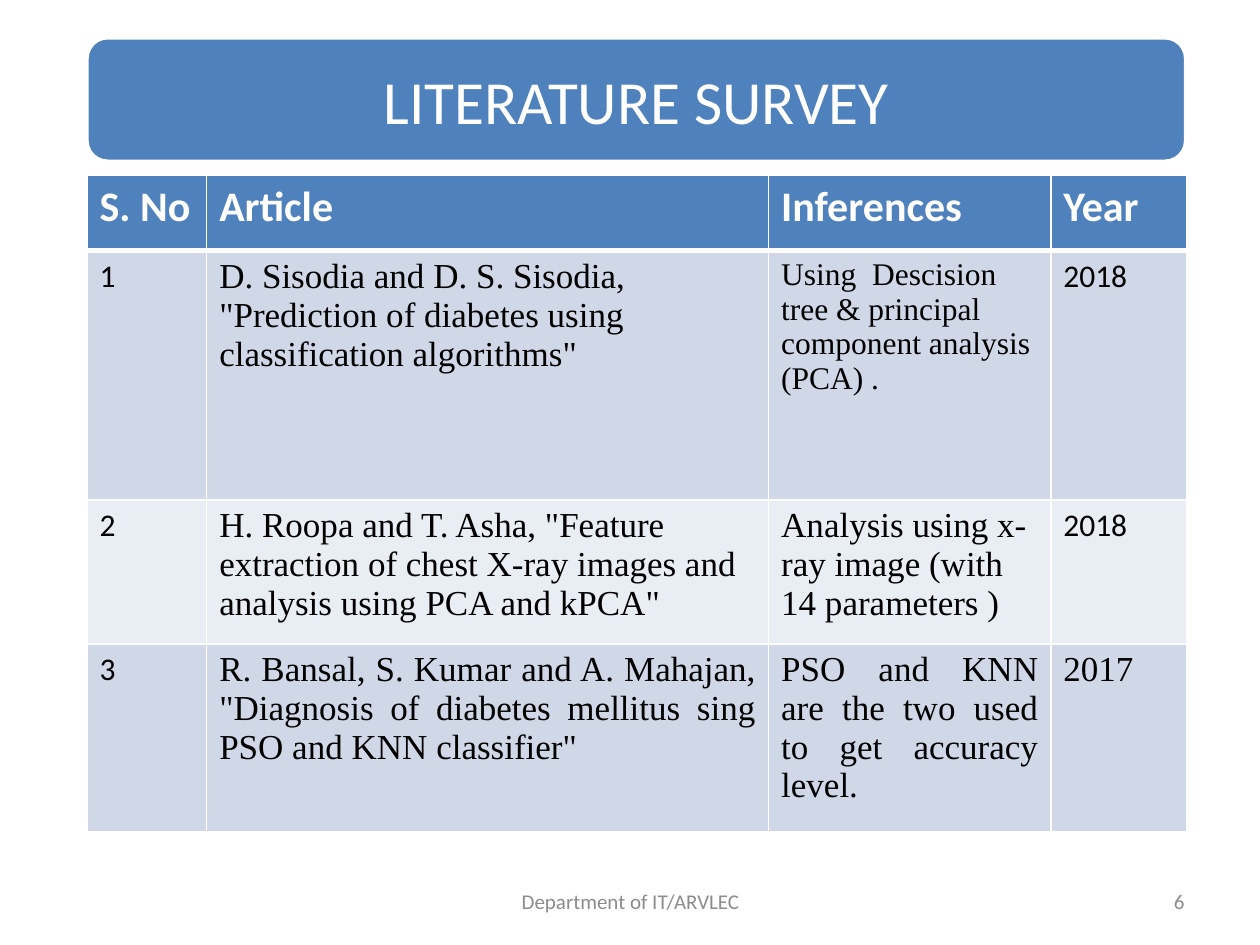
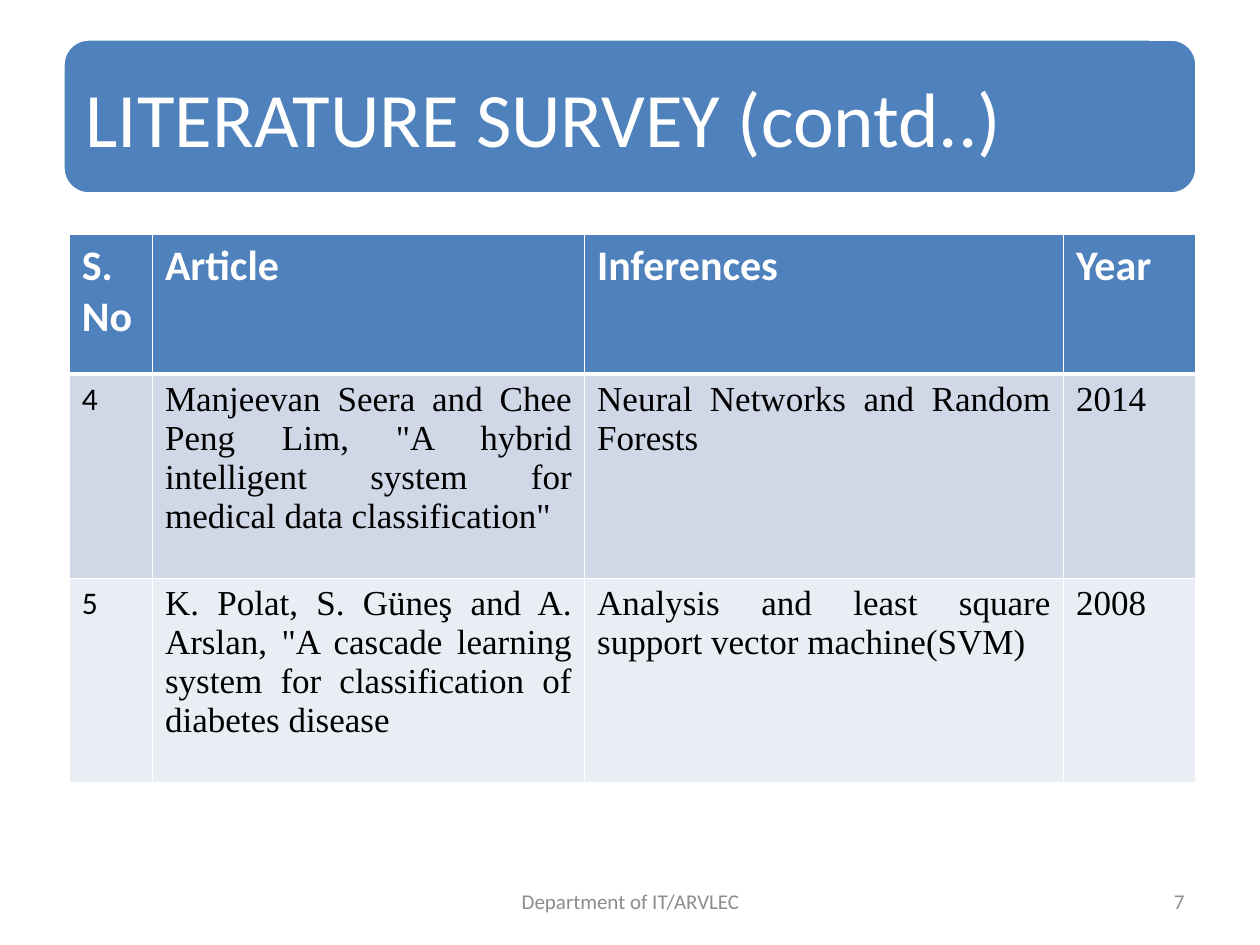
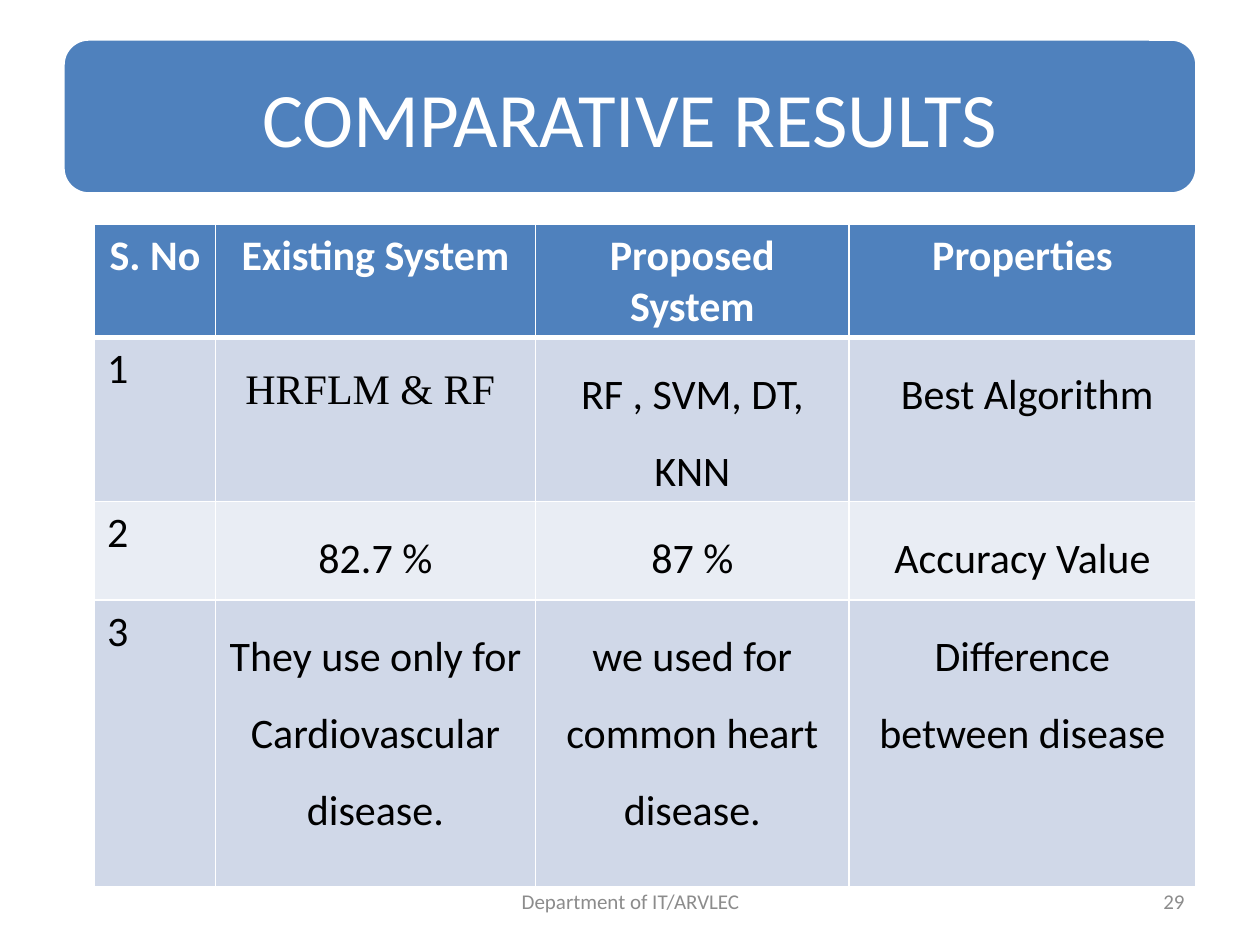
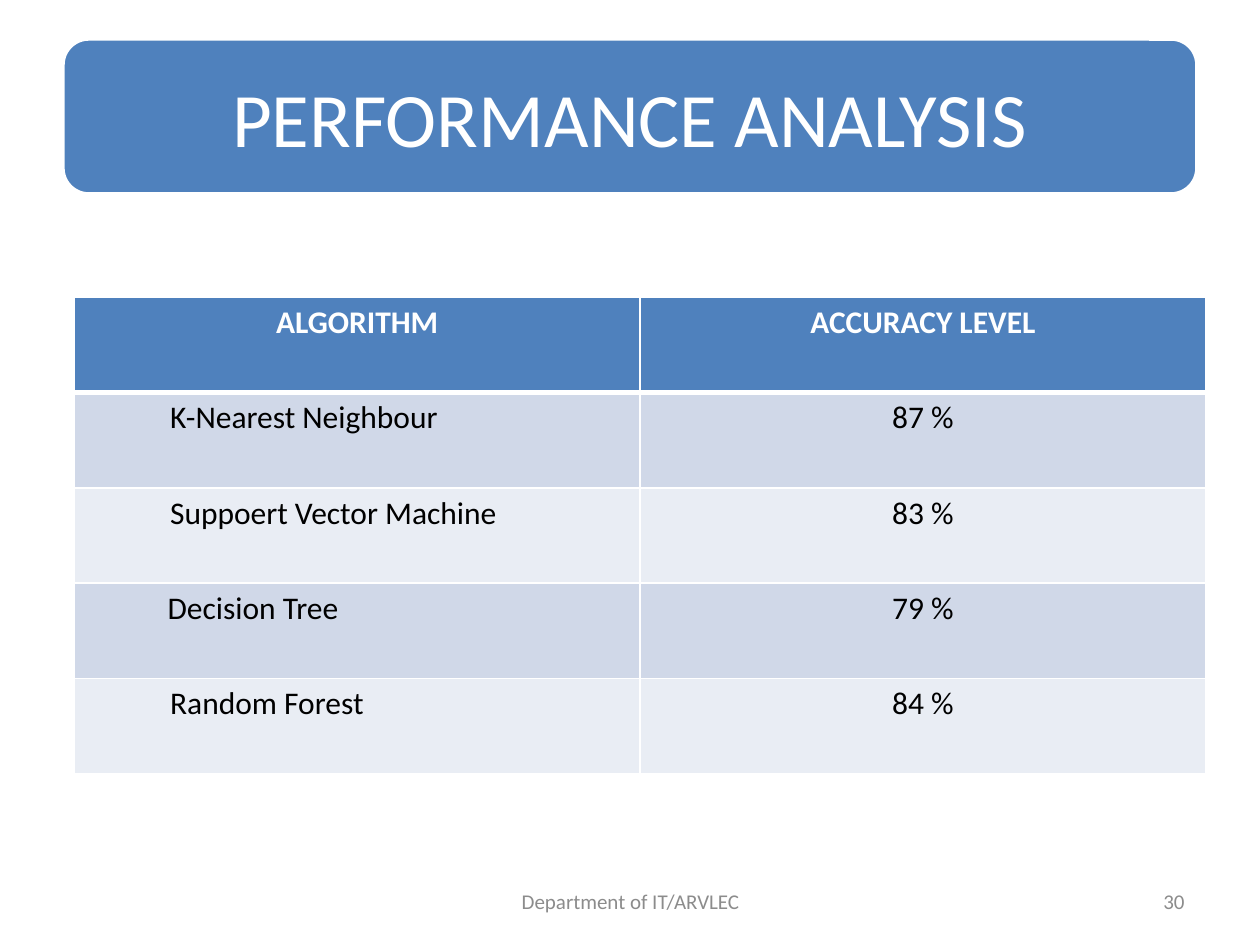
from dataclasses import dataclass

from lxml import etree
from pptx import Presentation
from pptx.dml.color import RGBColor
from pptx.enum.shapes import MSO_SHAPE
from pptx.enum.text import MSO_ANCHOR, PP_ALIGN
from pptx.oxml.ns import qn
from pptx.util import Inches, Pt

LEFT, CENTER, RIGHT, JUSTIFY = PP_ALIGN.LEFT, PP_ALIGN.CENTER, PP_ALIGN.RIGHT, PP_ALIGN.JUSTIFY
MIDDLE = MSO_ANCHOR.MIDDLE
ROUNDED = MSO_SHAPE.ROUNDED_RECTANGLE


@dataclass(frozen=True)
class Theme:
    blue: str = "4F81BD"
    white: str = "FFFFFF"
    black: str = "000000"
    gray: str = "8C8C8C"
    stripes: tuple = ("E9EDF4", "D0D8E8")
    sans: str = "Calibri"
    serif: str = "Times New Roman"
    title: int = 44
    small_title: int = 35
    heading: int = 24
    quote: int = 20
    body: int = 18
    footer: int = 12


theme = Theme()

deck = Presentation()
deck.slide_width, deck.slide_height = Inches(10), Inches(7.5)
COLUMN = deck.slide_width / 100
ROW = deck.slide_height / 75


def write(frame, text, size=theme.body, font=theme.sans, color=theme.black,
          bold=False, align=LEFT, spacing=None, indent=0):
    frame.word_wrap = True
    para = frame.paragraphs[0]
    para.alignment = align
    if spacing:
        para.line_spacing = spacing
    if indent:
        para._p.get_or_add_pPr().set("indent", str(int(indent * COLUMN)))
    span = para.add_run()
    span.text = text
    span.font.size = Pt(size)
    span.font.name = font
    span.font.bold = bold
    span.font.color.rgb = RGBColor.from_string(color)


def paint_cell(cell, fill, top, bottom):
    cell.fill.solid()
    cell.fill.fore_color.rgb = RGBColor.from_string(fill)
    properties = cell._tc.get_or_add_tcPr()
    borders = (("a:lnL", 1), ("a:lnR", 1), ("a:lnT", top), ("a:lnB", bottom))
    for position, (tag, width) in enumerate(borders):
        line = etree.Element(qn(tag), w=str(Pt(width)))
        solid = etree.SubElement(line, qn("a:solidFill"))
        etree.SubElement(solid, qn("a:srgbClr"), val=theme.white)
        properties.insert(position, line)


plain = dict(size=theme.body)
serif = dict(size=theme.quote, font=theme.serif)
small_serif = dict(size=theme.body, font=theme.serif)
justified = dict(serif, align=JUSTIFY)
large = dict(size=theme.heading)
spaced = dict(large, align=CENTER, spacing=1.5)
spaced_serif = dict(spaced, font=theme.serif)
centered = dict(align=CENTER)
indented = dict(indent=6.6)

wide_band = dict(band=(5, 3.1, 90, 12.3), title_size=theme.title)
survey_headings = ["S. No", "Article", "Inferences", "Year"]

pages = [
    dict(
        title="LITERATURE SURVEY", title_align=CENTER, number=6,
        band=(6.9, 3, 87.2, 9.8), title_size=theme.small_title,
        origin=(6.9, 13.9), columns=[9.5, 44.6, 22.4, 10.8], rows=[6, 19.8, 11.4, 14.9],
        headings=survey_headings, heading_size=theme.heading, heading_align=LEFT,
        body=[
            [("1", plain),
             ('D. Sisodia and D. S. Sisodia, "Prediction of diabetes using classification algorithms"', serif),
             ("Using  Descision tree & principal component analysis (PCA) .", small_serif),
             ("2018", plain)],
            [("2", plain),
             ('H. Roopa and T. Asha, "Feature extraction of chest X-ray images and analysis using PCA and kPCA"', serif),
             ("Analysis using x-ray image (with 14 parameters )", serif),
             ("2018", plain)],
            [("3", plain),
             ('R. Bansal, S. Kumar and A. Mahajan, "Diagnosis of diabetes mellitus sing PSO and KNN classifier"', justified),
             ("PSO and KNN are the two used to get accuracy level.", justified),
             ("2017", justified)],
        ],
    ),
    dict(
        wide_band, title="LITERATURE SURVEY (contd..)", title_align=LEFT, number=7,
        origin=(5.5, 18.6), columns=[6.6, 34.3, 38, 10.5], rows=[11.1, 16.2, 16.2],
        headings=survey_headings, heading_size=theme.heading, heading_align=LEFT,
        body=[
            [("4", plain),
             ('Manjeevan Seera and Chee Peng Lim, "A hybrid intelligent system for medical data classification"', justified),
             ("Neural Networks and Random Forests", justified),
             ("2014", justified)],
            [("5", plain),
             ('K. Polat, S. Güneş and A. Arslan, "A cascade learning system for classification of diabetes disease', justified),
             ("Analysis and least square support vector machine(SVM)", justified),
             ("2008", justified)],
        ],
    ),
    dict(
        wide_band, title="COMPARATIVE RESULTS", title_align=CENTER, number=29,
        origin=(7.5, 17.8), columns=[9.6, 25.4, 24.9, 27.5], rows=[7.6, 9, 7.8, 22.8],
        headings=["S. No", "Existing System", "Proposed System", "Properties"],
        heading_size=theme.heading, heading_align=CENTER,
        body=[
            [("1", large), ("HRFLM & RF ", spaced_serif),
             ("RF , SVM, DT, KNN", spaced), (" Best Algorithm", spaced)],
            [("2", large), ("82.7 %", spaced), ("87 %", spaced), ("Accuracy Value", spaced)],
            [("3", large), ("They use only for Cardiovascular disease.", spaced),
             ("we used for common heart disease.", spaced),
             ("Difference between disease", spaced)],
        ],
    ),
    dict(
        wide_band, title="PERFORMANCE ANALYSIS", title_align=CENTER, number=30,
        origin=(5.9, 23.6), columns=[44.9] * 2, rows=[7.56] * 5,
        headings=["ALGORITHM", "ACCURACY LEVEL"],
        heading_size=theme.body, heading_align=CENTER,
        body=[
            [("K-Nearest Neighbour", indented), ("87 %", centered)],
            [("Suppoert Vector Machine", indented), ("83 %", centered)],
            [("Decision Tree", dict(indent=6.4)), ("79 %", centered)],
            [("Random Forest", indented), ("84 %", centered)],
        ],
    ),
]

for content in pages:
    page = deck.slides.add_slide(deck.slide_layouts[6])

    left, top, width, height = content["band"]
    band = page.shapes.add_shape(ROUNDED, int(left * COLUMN), int(top * ROW),
                                 int(width * COLUMN), int(height * ROW))
    band.shadow.inherit = False
    band.fill.solid()
    band.fill.fore_color.rgb = RGBColor.from_string(theme.blue)
    band.line.color.rgb = RGBColor.from_string(theme.white)
    band.line.width = Pt(2)
    frame = band.text_frame
    frame.vertical_anchor = MIDDLE
    frame.margin_left = frame.margin_right = int(1.2 * COLUMN)
    write(frame, content["title"], size=content["title_size"],
          color=theme.white, align=content["title_align"])

    left, top = content["origin"]
    columns, rows = content["columns"], content["rows"]
    table_frame = page.shapes.add_table(
        len(rows), len(columns), int(left * COLUMN), int(top * ROW),
        int(sum(columns) * COLUMN), int(sum(rows) * ROW))
    table = table_frame.table
    for column, width in zip(table.columns, columns):
        column.width = int(width * COLUMN)
    heading = dict(size=content["heading_size"], color=theme.white,
                   bold=True, align=content["heading_align"])
    cells = [[(text, heading) for text in content["headings"]]] + content["body"]
    for index, (row, height, entries) in enumerate(zip(table.rows, rows, cells)):
        row.height = int(height * ROW)
        fill = theme.stripes[index % 2] if index else theme.blue
        for cell, (text, style) in zip(row.cells, entries):
            paint_cell(cell, fill, top=3 if index == 1 else 1, bottom=1 if index else 3)
            write(cell.text_frame, text, **style)

    footers = (("Department of IT/ARVLEC", 34.2, 31.7, CENTER),
               (str(content["number"]), 71.7, 23.3, RIGHT))
    for text, left, width, align in footers:
        box = page.shapes.add_textbox(int(left * COLUMN), int(69.5 * ROW),
                                      int(width * COLUMN), int(4 * ROW))
        box.text_frame.vertical_anchor = MIDDLE
        write(box.text_frame, text, size=theme.footer, color=theme.gray, align=align)

deck.save("out.pptx")
